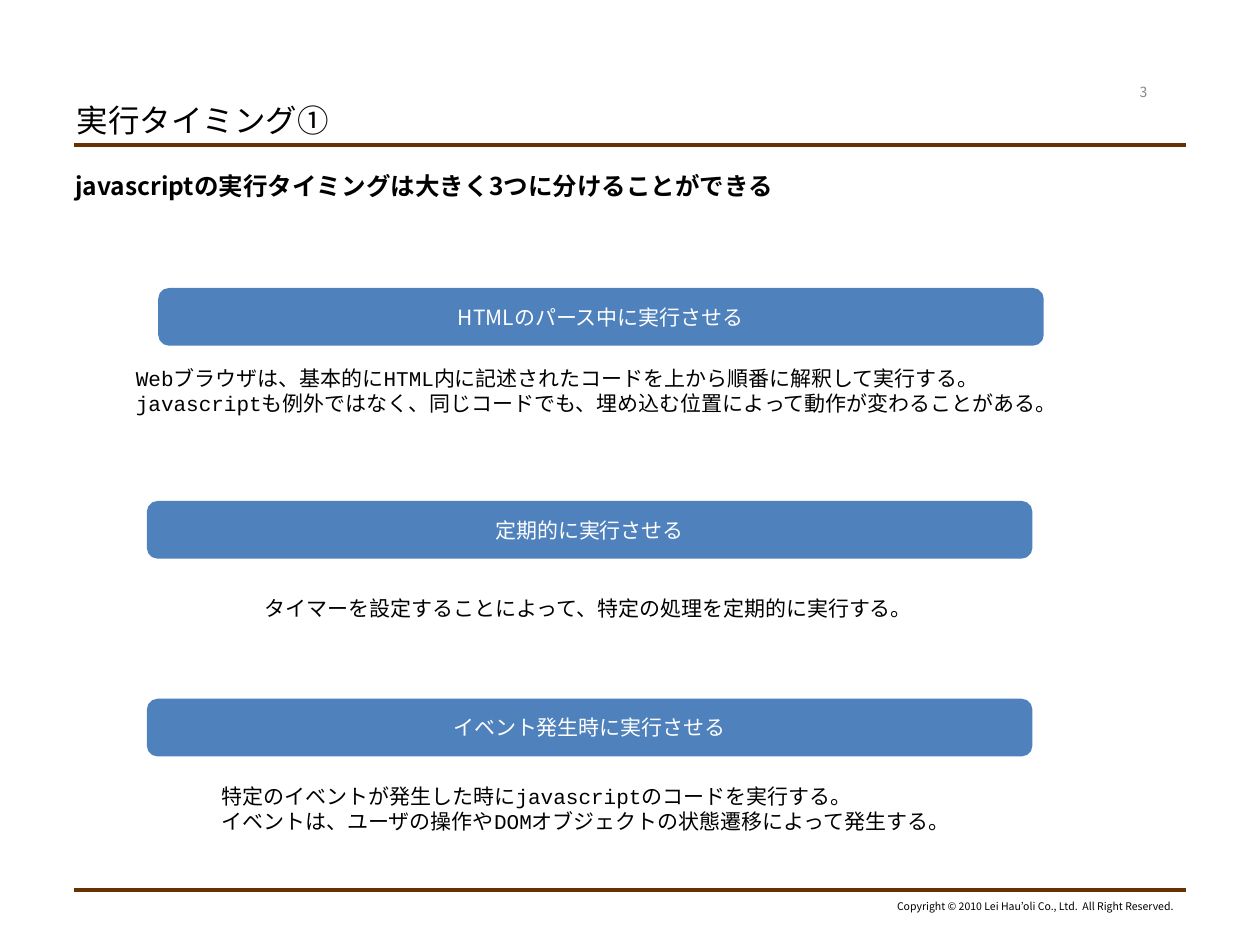
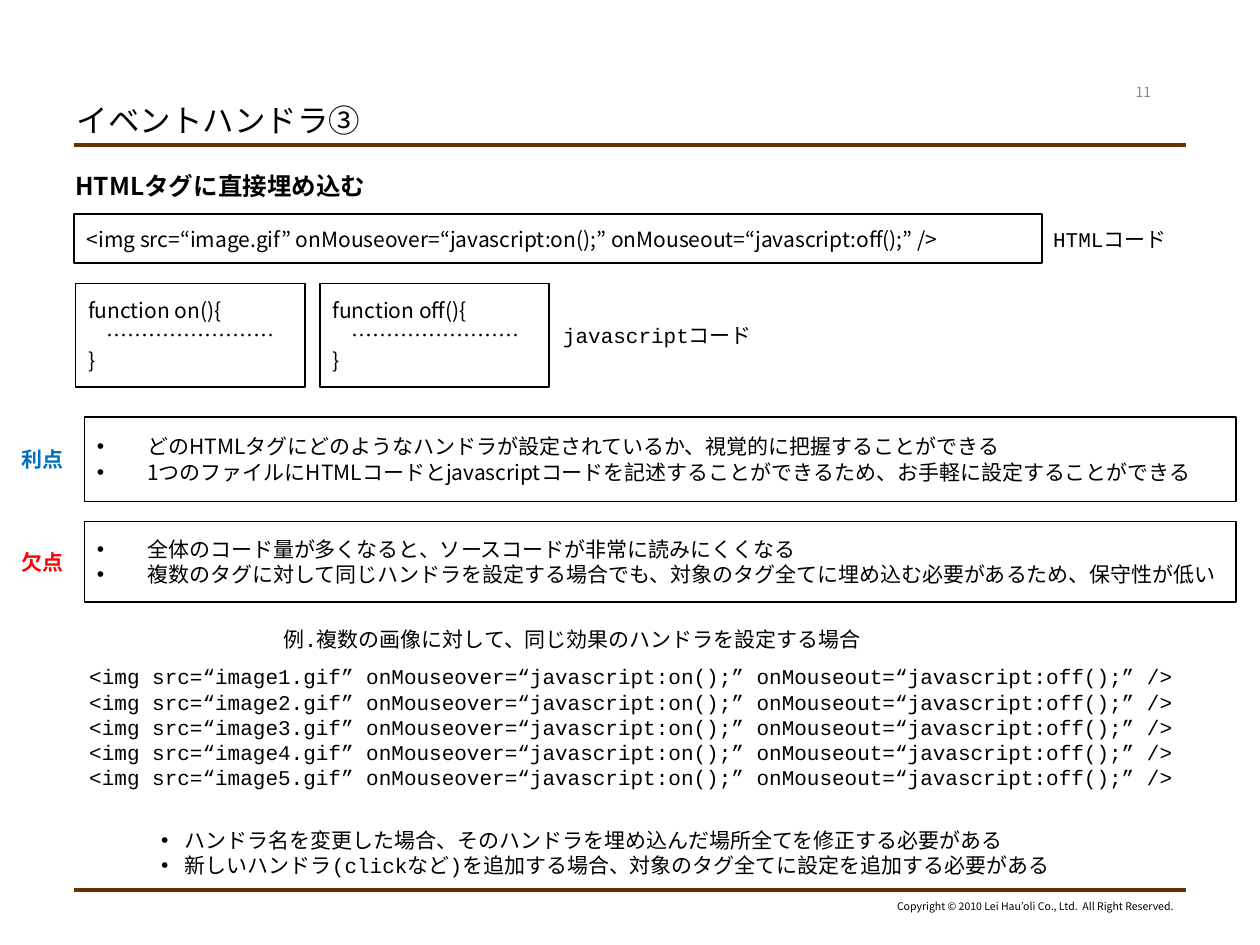
from dataclasses import dataclass

from lxml import etree
from pptx import Presentation
from pptx.dml.color import RGBColor
from pptx.enum.shapes import MSO_CONNECTOR, MSO_SHAPE
from pptx.enum.text import MSO_ANCHOR, MSO_AUTO_SIZE, PP_ALIGN
from pptx.oxml.ns import qn
from pptx.util import Inches, Pt

LINE = MSO_CONNECTOR.STRAIGHT
RECT, ROUND = MSO_SHAPE.RECTANGLE, MSO_SHAPE.ROUNDED_RECTANGLE
TOP, MIDDLE = MSO_ANCHOR.TOP, MSO_ANCHOR.MIDDLE
LEFT, CENTER, RIGHT = PP_ALIGN.LEFT, PP_ALIGN.CENTER, PP_ALIGN.RIGHT
GROW = MSO_AUTO_SIZE.SHAPE_TO_FIT_TEXT


@dataclass(frozen=True)
class Theme:
    sans: str = "Noto Sans CJK JP"
    mono: str = "Courier New"
    ink: str = "000000"
    white: str = "FFFFFF"
    gray: str = "898989"
    rule: str = "663300"
    band: str = "4F81BD"
    good: str = "0070C0"
    bad: str = "FF0000"
    title: int = 18
    lead: int = 14
    body: int = 12
    page: int = 8
    foot: int = 6


T = Theme()


def color(code):
    return RGBColor.from_string(code)


def bullet(para, indent):
    props = para._p.get_or_add_pPr()
    props.set("marL", str(Inches(indent)))
    props.set("indent", str(-Inches(indent)))
    etree.SubElement(props, qn("a:buFont"), typeface="Arial")
    etree.SubElement(props, qn("a:buChar"), char="•")


def write(shape, lines, size=T.body, face=T.sans, ink=T.ink, bold=False,
          align=LEFT, anchor=TOP, wrap=True, indent=0):
    """Fill a shape with one paragraph per line; an indent adds bullets."""
    frame = shape.text_frame
    frame.word_wrap = wrap
    frame.vertical_anchor = anchor
    if not wrap:
        frame.auto_size = GROW
    frame.margin_left = frame.margin_right = Inches(0.1)
    frame.margin_top = frame.margin_bottom = Inches(0.05)
    for i, line in enumerate(lines):
        para = frame.add_paragraph() if i else frame.paragraphs[0]
        para.add_run().text = line
        para.alignment = align
        if indent:
            bullet(para, indent)
        font = para.font
        font.name, font.size, font.bold = face, Pt(size), bold
        font.color.rgb = color(ink)
        latin = font._element.find(qn("a:latin"))
        latin.addnext(etree.Element(qn("a:ea"), typeface=T.sans))


def label(slide, box, *lines, **style):
    write(slide.shapes.add_textbox(*map(Inches, box)), lines, **style)


def note(slide, box, *lines, **style):
    label(slide, box, *lines, face=T.mono, wrap=False, **style)


def panel(slide, box, *lines, kind=RECT, fill=None, edge=T.ink, width=1,
          **style):
    shape = slide.shapes.add_shape(kind, *map(Inches, box))
    shape.shadow.inherit = False
    if fill:
        shape.fill.solid()
        shape.fill.fore_color.rgb = color(fill)
    else:
        shape.fill.background()
    shape.line.color.rgb = color(edge)
    shape.line.width = Pt(width)
    write(shape, lines, anchor=MIDDLE, **style)


def rule(slide, y):
    line = slide.shapes.add_connector(
        LINE, Inches(0.59), Inches(y), Inches(9.41), Inches(y))
    line.line.color.rgb = color(T.rule)
    line.line.width = Pt(2.25)
    etree.SubElement(line._element.spPr, qn("a:effectLst"))


def base(deck, title, lead, page):
    """Add a slide with the rules, title, lead, page number and footer."""
    slide = deck.slides.add_slide(deck.slide_layouts[6])
    for y in (1.15, 7.06):
        rule(slide, y)
    label(slide, (6.99, 7.09, 2.42, 0.2),
          "Copyright © 2010 Lei Hau’oli Co., Ltd.  All Right Reserved.",
          size=T.foot, align=RIGHT, wrap=False)
    label(slide, (0.51, 0.76, 5.68, 0.39), title, size=T.title, anchor=MIDDLE)
    label(slide, (0.5, 1.31, 9, 5.59), lead, size=T.lead, bold=True)
    label(slide, (8.78, 0.61, 0.59, 0.24), page, size=T.page, ink=T.gray,
          align=CENTER, anchor=MIDDLE)
    return slide


def timing(slide, x, y, head, box, *lines):
    """Place a blue band at x, y and its text at a box relative to it."""
    panel(slide, (x, y, 7, 0.43), head, kind=ROUND, fill=T.band, edge=T.band,
          width=2, ink=T.white, align=CENTER)
    left, top, *size = box
    note(slide, (x + left, y + top, *size), *lines)


def review(slide, y, high, name, ink, *lines):
    """Place a boxed list with its coloured name at the left."""
    panel(slide, (0.67, y, 9.14, high), *lines, indent=0.4)
    note(slide, (0.07, y + high / 2 - 0.15, 0.53, 0.3), name, ink=ink,
         bold=True)


def image(mark=""):
    return (f"<img src=“image{mark}.gif” onMouseover=“javascript:on();” "
            "onMouseout=“javascript:off();” />")


def codes(slide, x, y):
    panel(slide, (x, y, 7.68, 0.39), image())
    note(slide, (x + 7.67, y + 0.05, 1.14, 0.3), "HTMLコード")
    for i, name in enumerate(("on", "off")):
        panel(slide, (x + 0.01 + 1.94 * i, y + 0.55, 1.82, 0.82),
              f"function {name}(){{", "    ……………………", "}")
    note(slide, (x + 3.78, y + 0.81, 1.74, 0.3), "javascriptコード")


def sample(slide, x, y):
    note(slide, (x + 1.54, y, 4.88, 0.3),
         "例.複数の画像に対して、同じ効果のハンドラを設定する場合")
    label(slide, (x, y + 0.3, 8.92, 1.1), *map(image, range(1, 6)),
          face=T.mono)
    label(slide, (x + 0.57, y + 1.6, 7.8, 0.5),
          "ハンドラ名を変更した場合、そのハンドラを埋め込んだ場所全てを修正する必要がある",
          "新しいハンドラ(clickなど)を追加する場合、対象のタグ全てに設定を追加する必要がある",
          face=T.mono, indent=0.19)


def timings(deck):
    slide = base(deck, "実行タイミング①",
                 "javascriptの実行タイミングは大きく3つに分けることができる", "3")
    timing(slide, 1.27, 2.3, "HTMLのパース中に実行させる",
           (-0.29, 0.55, 7.57, 0.5),
           "Webブラウザは、基本的にHTML内に記述されたコードを上から順番に解釈して実行する。",
           "javascriptも例外ではなく、同じコードでも、埋め込む位置によって動作が変わることがある。")
    timing(slide, 1.18, 3.99, "定期的に実行させる",
           (0.82, 0.69, 5.36, 0.3),
           "タイマーを設定することによって、特定の処理を定期的に実行する。")
    timing(slide, 1.18, 5.56, "イベント発生時に実行させる",
           (0.48, 0.61, 6.08, 0.5),
           "特定のイベントが発生した時にjavascriptのコードを実行する。",
           "イベントは、ユーザの操作やDOMオブジェクトの状態遷移によって発生する。")


def handlers(deck):
    slide = base(deck, "イベントハンドラ③", "HTMLタグに直接埋め込む", "11")
    codes(slide, 0.59, 1.7)
    review(slide, 3.31, 0.67, "利点", T.good,
           "どのHTMLタグにどのようなハンドラが設定されているか、視覚的に把握することができる",
           "1つのファイルにHTMLコードとjavascriptコードを記述することができるため、お手軽に設定することができる")
    review(slide, 4.14, 0.64, "欠点", T.bad,
           "全体のコード量が多くなると、ソースコードが非常に読みにくくなる",
           "複数のタグに対して同じハンドラを設定する場合でも、対象のタグ全てに埋め込む必要があるため、保守性が低い")
    sample(slide, 0.61, 4.92)


def main():
    deck = Presentation()
    deck.slide_width, deck.slide_height = Inches(10), Inches(7.5)
    timings(deck)
    handlers(deck)
    deck.save("out.pptx")


if __name__ == "__main__":
    main()
